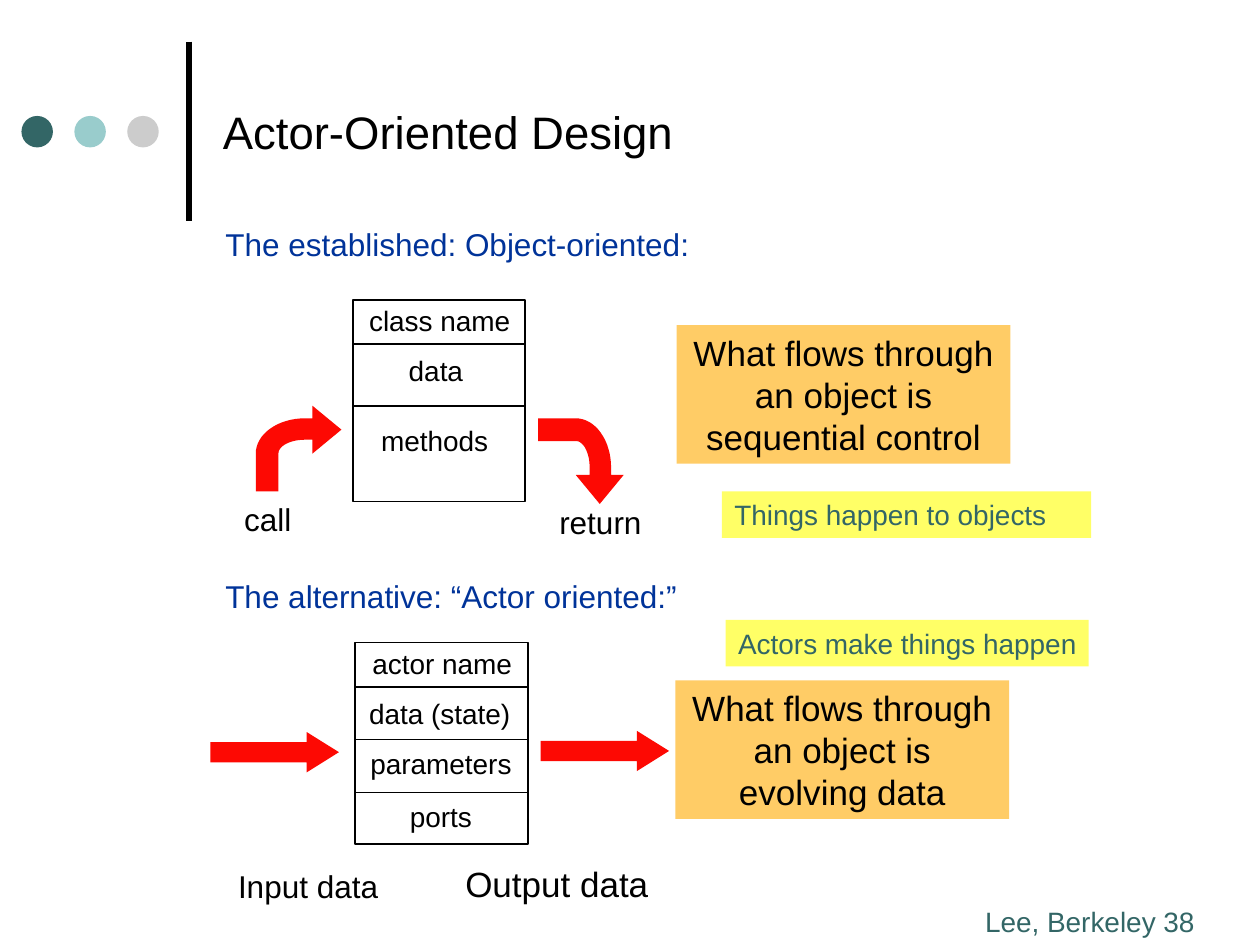
"""Build the Actor-Oriented Design slide."""
import math

from lxml import etree
from pptx import Presentation
from pptx import util as u
from pptx.dml import color
from pptx.enum import shapes, text
from pptx.oxml import ns

COLORS = {
    "black": "000000", "teal": "336666", "aqua": "99CCCC", "grey": "CCCCCC",
    "blue": "003399", "red": "FD0903", "orange": "FFCC66", "yellow": "FFFF66",
}
FONT = "Arial"
LEFT, CENTER = text.PP_ALIGN.LEFT, text.PP_ALIGN.CENTER
BEND_SIZE = 0.68


def rgb(name):
    """Return the named palette colour."""
    return color.RGBColor.from_string(COLORS[name])


def paint(shape, fill=None, line=None):
    """Set the fill and outline of a shape and remove its shadow."""
    shape.shadow.inherit = False
    if fill:
        shape.fill.solid()
        shape.fill.fore_color.rgb = rgb(fill)
    else:
        shape.fill.background()
    if line:
        shape.line.color.rgb = rgb(line)
        shape.line.width = u.Pt(1)
    else:
        shape.line.fill.background()


def add_block(slide, kind, box, fill=None, line=None):
    """Add a preset shape in a box given in inches."""
    shape = slide.shapes.add_shape(kind, *map(u.Inches, box))
    paint(shape, fill, line)
    return shape


def write(shape, wording, size, ink="black", align=CENTER, wrap=False,
          anchor=text.MSO_ANCHOR.TOP):
    """Write one paragraph into a shape."""
    frame = shape.text_frame
    frame.word_wrap = wrap
    frame.vertical_anchor = anchor
    paragraph = frame.paragraphs[0]
    paragraph.alignment = align
    run = paragraph.add_run()
    run.text = wording
    run.font.name = FONT
    run.font.size = u.Pt(size)
    run.font.color.rgb = rgb(ink)


def add_label(slide, box, wording, size, **style):
    """Add a text box with one paragraph."""
    write(slide.shapes.add_textbox(*map(u.Inches, box)), wording, size, **style)


def add_note(slide, box, wording, size, fill, **style):
    """Add a filled rectangle with text."""
    shape = add_block(slide, shapes.MSO_SHAPE.RECTANGLE, box, fill)
    write(shape, wording, size, **style)


def add_line(slide, start, end, width):
    """Add a straight black line."""
    points = map(u.Inches, (*start, *end))
    line = slide.shapes.add_connector(shapes.MSO_CONNECTOR.STRAIGHT, *points)
    line.line.color.rgb = rgb("black")
    line.line.width = u.Pt(width)
    etree.SubElement(line._element.spPr, ns.qn("a:effectLst"))


def add_class_box(slide, left, top, dividers, rows):
    """Add a class diagram box with divider lines and (centre, top, text) rows."""
    width, height = 1.37, 1.6
    add_block(slide, shapes.MSO_SHAPE.RECTANGLE, (left, top, width, height), line="black")
    for y in dividers:
        add_line(slide, (left, y), (left + width, y), 1)
    for center, y, wording in rows:
        add_label(slide, (center - 0.7, y, 1.4, 0.37), wording, 16)


def quarter_arc(radius_x, radius_y, reverse=False, steps=16):
    """Return the points of the upper left quarter of the bend's ellipse."""
    angles = [math.pi / 2 * step / steps for step in range(steps + 1)]
    points = [(0.39 - radius_x * math.cos(a), 0.38 - radius_y * math.sin(a)) for a in angles]
    return points[::-1] if reverse else points


def add_bent_arrow(slide, left, top, turned=False):
    """Add a curved arrow pointing right, or down when turned."""
    outline = [(0, BEND_SIZE), *quarter_arc(0.39, 0.28), (0.45, 0.1), (0.45, 0),
               (BEND_SIZE, 0.19), (0.45, 0.38), (0.45, 0.27),
               *quarter_arc(0.21, 0.11, reverse=True), (0.18, BEND_SIZE)]
    if turned:
        outline = [(BEND_SIZE - y, x) for x, y in outline]
    points = [(u.Inches(left + x), u.Inches(top + y)) for x, y in outline]
    builder = slide.shapes.build_freeform(*points[0])
    builder.add_line_segments(points[1:], close=True)
    paint(builder.convert_to_shape(), "red")


def add_header(slide):
    """Add the title, the rule, the dots and the footer."""
    add_line(slide, (1.5, 0.33), (1.5, 1.75), 3)
    for index, fill in enumerate(("teal", "aqua", "grey")):
        add_block(slide, shapes.MSO_SHAPE.OVAL, (0.17 + 0.42 * index, 0.92, 0.25, 0.25), fill)
    add_label(slide, (7.72, 7.13, 2.63, 0.37), "Lee, Berkeley 38", 16,
              ink="teal", align=LEFT, wrap=True)
    add_label(slide, (1.67, 0.21, 8.08, 1.67), "Actor-Oriented Design", 26,
              align=LEFT, wrap=True, anchor=text.MSO_ANCHOR.MIDDLE)


def add_object_part(slide):
    """Add the object-oriented half."""
    add_label(slide, (1.69, 1.74, 3.88, 0.4), "The established: Object-oriented:", 18,
              ink="blue", align=LEFT, wrap=True)
    add_class_box(slide, 2.8, 2.38, (2.73, 3.22), (
        (3.49, 2.36, "class name"), (3.46, 2.76, "data"), (3.45, 3.31, "methods")))
    add_bent_arrow(slide, 2.03, 3.22)
    add_bent_arrow(slide, 4.27, 3.32, turned=True)
    add_label(slide, (1.77, 3.92, 0.71, 0.4), "call", 18)
    add_label(slide, (4.29, 3.94, 0.95, 0.4), "return", 18)
    add_note(slide, (5.37, 2.58, 2.65, 1.1),
             "What flows through an object is sequential control", 20, "orange", wrap=True)
    add_note(slide, (5.73, 3.9, 2.93, 0.37), "Things happen to objects", 16, "yellow",
             ink="teal", align=LEFT, wrap=True)


def add_actor_part(slide):
    """Add the actor-oriented half."""
    add_label(slide, (1.69, 4.53, 3.83, 0.4), "The alternative: “Actor oriented:”", 18,
              ink="blue", align=LEFT, wrap=True)
    add_class_box(slide, 2.82, 5.1, (5.45, 5.87, 6.29), (
        (3.51, 5.08, "actor name"), (3.49, 5.48, "data (state)"),
        (3.5, 5.88, "parameters"), (3.5, 6.3, "ports")))
    for left, top in ((1.67, 5.81), (4.29, 5.8)):
        arrow = add_block(slide, shapes.MSO_SHAPE.RIGHT_ARROW, (left, top, 1.02, 0.32), "red")
        arrow.adjustments[1] = 0.8
    add_label(slide, (1.74, 6.83, 1.41, 0.4), "Input data", 18)
    add_label(slide, (3.54, 6.8, 1.76, 0.44), "Output data", 20)
    add_note(slide, (5.36, 5.4, 2.65, 1.1),
             "What flows through an object is evolving data", 20, "orange", wrap=True)
    add_note(slide, (5.76, 4.92, 2.88, 0.37), "Actors make things happen", 16, "yellow",
             ink="teal", align=LEFT)


def main():
    """Create and save the presentation."""
    presentation = Presentation()
    presentation.slide_width = u.Inches(10)
    presentation.slide_height = u.Inches(7.5)
    slide = presentation.slides.add_slide(presentation.slide_layouts[6])
    add_header(slide)
    add_object_part(slide)
    add_actor_part(slide)
    presentation.save("out.pptx")


if __name__ == "__main__":
    main()
